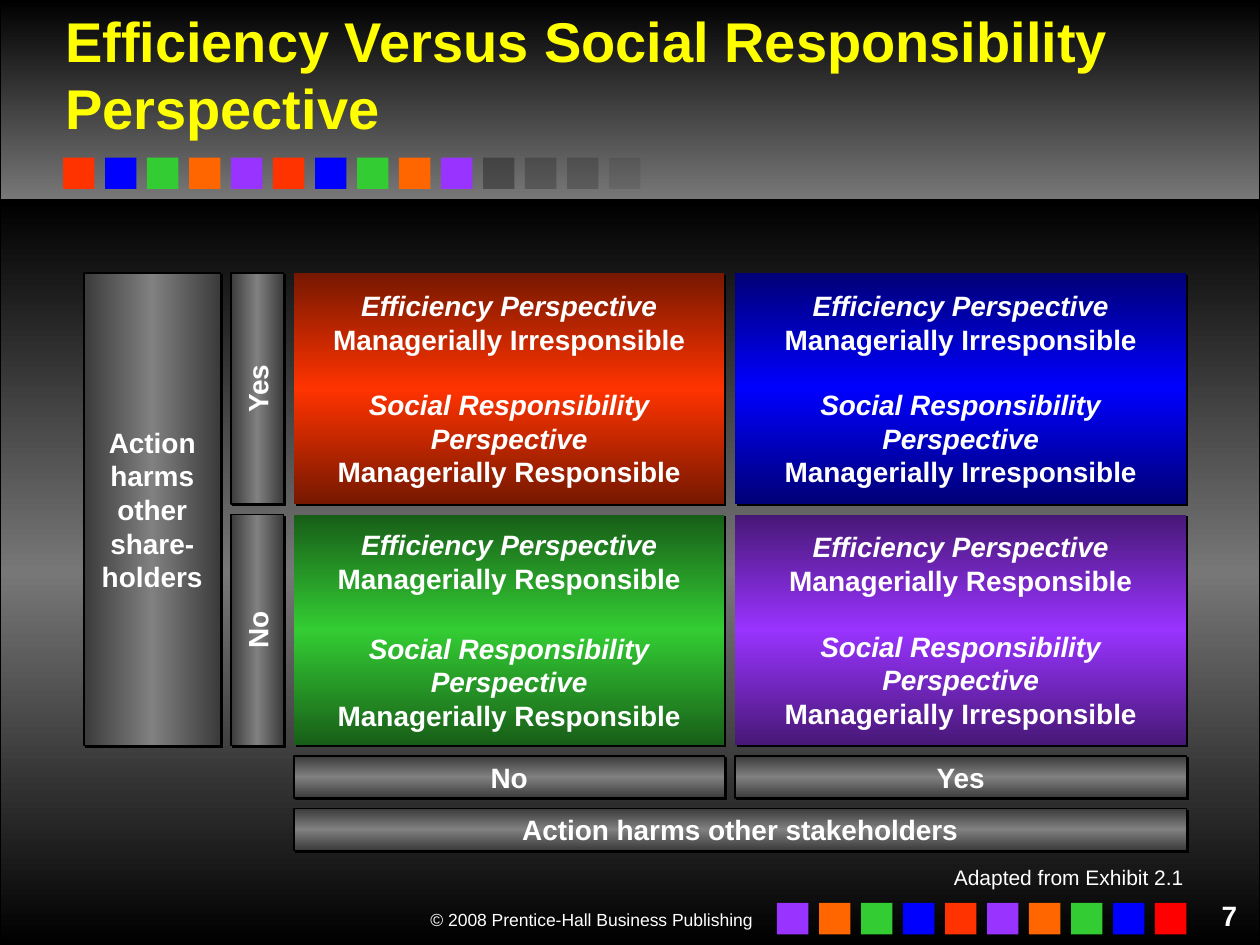
from lxml.etree import SubElement
from pptx import Presentation
from pptx.dml.color import RGBColor
from pptx.enum.shapes import MSO_SHAPE
from pptx.enum.text import MSO_ANCHOR, MSO_AUTO_SIZE, PP_ALIGN
from pptx.oxml import parse_xml
from pptx.oxml.ns import nsdecls, qn
from pptx.util import Pt

COLORS = {
    "black": "000000", "white": "FFFFFF", "title": "FFFF00", "band": "777777",
    "label_edge": "3B3B3B", "label": "808080", "fade": "292929",
    "red": "FF3300", "red_edge": "761800", "blue": "0000FF", "blue_edge": "000076",
    "green": "33CC33", "green_edge": "185E18", "purple": "9933FF",
    "purple_edge": "471876", "orange": "FF6600", "bright_red": "FF0000",
}
GAP = 6
SQUARE, PITCH = 18, 24


def add_alpha(color_parent, percent):
    """Make the solid colour inside an element partly transparent."""
    color = next(color_parent.iter(qn("a:srgbClr")))
    SubElement(color, qn("a:alpha")).set("val", str(percent * 1000))


def add_gradient(shape, colors, angle):
    """Fill a shape with evenly spaced colours along a screen angle."""
    step = 100000 // (len(colors) - 1)
    stops = "".join(
        f'<a:gs pos="{i * step}"><a:srgbClr val="{COLORS[color]}"/></a:gs>'
        for i, color in enumerate(colors))
    shape.element.spPr.insert(2, parse_xml(
        f'<a:gradFill rotWithShape="0" {nsdecls("a")}><a:gsLst>{stops}</a:gsLst>'
        f'<a:lin ang="{angle * 60000}" scaled="1"/></a:gradFill>'))


def add_shadow(effects):
    """Put a hard black shadow into an effect list."""
    effects.append(parse_xml(
        f'<a:outerShdw dist="17961" dir="2700000" algn="ctr" rotWithShape="0" '
        f'{nsdecls("a")}><a:srgbClr val="{COLORS["black"]}"/></a:outerShdw>'))


def add_box(slide, box, fill, angle=90, outline=None, shadow=False):
    """Add a rectangle with a plain colour or a list of gradient colours."""
    shape = slide.shapes.add_shape(MSO_SHAPE.RECTANGLE, *map(Pt, box))
    if isinstance(fill, str):
        shape.fill.solid()
        shape.fill.fore_color.rgb = RGBColor.from_string(COLORS[fill])
    else:
        add_gradient(shape, fill, angle)
    if outline:
        shape.line.color.rgb = RGBColor.from_string(COLORS[outline])
        shape.line.width = Pt(0.75)
    else:
        shape.line.fill.background()
    shape.shadow.inherit = False
    if shadow:
        add_shadow(shape.element.spPr.find(qn("a:effectLst")))
    return shape


def write(paragraph, text, size=16, color="white", bold=True, italic=False,
          align=PP_ALIGN.CENTER, before=0):
    """Write one formatted paragraph and return its run."""
    paragraph.alignment = align
    paragraph.space_before = Pt(before)
    run = paragraph.add_run()
    run.text = text
    run.font.name = "Arial"
    run.font.size = Pt(size)
    run.font.bold = bold
    run.font.italic = italic
    run.font.color.rgb = RGBColor.from_string(COLORS[color])
    return run


def frame_text(shape, wrap):
    """Centre a shape's text vertically and return its frame."""
    frame = shape.text_frame
    frame.word_wrap = wrap
    frame.vertical_anchor = MSO_ANCHOR.MIDDLE
    frame.margin_left = frame.margin_right = Pt(7.2)
    frame.margin_top = frame.margin_bottom = 0
    return frame


def add_title(slide, box, text):
    """Place the title placeholder in front of the backdrop."""
    title = slide.shapes.title
    title.left, title.top, title.width, title.height = map(Pt, box)
    slide.shapes.element.append(title.element)
    frame = title.text_frame
    frame.word_wrap = True
    frame.auto_size = MSO_AUTO_SIZE.NONE
    frame.vertical_anchor = MSO_ANCHOR.MIDDLE
    run = write(frame.paragraphs[0], text, size=32, color="title", align=PP_ALIGN.LEFT)
    effects = parse_xml(f'<a:effectLst {nsdecls("a")}/>')
    add_shadow(effects)
    run.font.fill
    run.font._element.find(qn("a:solidFill")).addnext(effects)


def add_note(slide, box, text, **text_format):
    """Add a right-aligned line of text."""
    frame = slide.shapes.add_textbox(*map(Pt, box)).text_frame
    frame.word_wrap = True
    write(frame.paragraphs[0], text, align=PP_ALIGN.RIGHT, **text_format)
    return frame.paragraphs[0]


def add_squares(slide, left, top, colors):
    """Add a row of equally spaced colour squares."""
    for i, color in enumerate(colors):
        add_box(slide, (left + i * PITCH, top, SQUARE, SQUARE), color)


def add_backdrop(slide, width, height, split):
    """Add the shaded bands and the decorative squares."""
    add_box(slide, (0, 0, width, split), ["black", "band"], outline="black")
    add_box(slide, (0, split, width, height - split), ["black", "band", "black"],
            outline="black")
    add_squares(slide, 36, 90, ["red", "blue", "green", "orange", "purple"] * 2)
    for i, opacity in enumerate((50, 35, 30, 15), start=10):
        square = add_box(slide, (36 + i * PITCH, 90, SQUARE, SQUARE), "fade")
        add_alpha(square.element.spPr, opacity)
    add_squares(slide, 444, 516, ["purple", "orange", "green", "blue", "red", "purple",
                                  "orange", "green", "blue", "bright_red"])


def add_quadrant(slide, box, color, efficiency, social, gap):
    """Add one matrix cell with its two verdicts."""
    edge = f"{color}_edge"
    cell = add_box(slide, box, [edge, color, edge], shadow=True)
    frame = frame_text(cell, wrap=False)
    lines = [("Efficiency Perspective", True, 0), (f"Managerially {efficiency}", False, 0),
             ("Social Responsibility", True, gap), ("Perspective", True, 0),
             (f"Managerially {social}", False, 0)]
    for i, (text, italic, before) in enumerate(lines):
        paragraph = frame.add_paragraph() if i else frame.paragraphs[0]
        write(paragraph, text, italic=italic, before=before)


def add_label(slide, box, text, angle=90, turned=False, wrap=False):
    """Add a grey axis label, turned to read upwards if asked."""
    left, top, width, height = box
    if turned:
        box = (left + (width - height) / 2, top + (height - width) / 2, height, width)
    label = add_box(slide, box, ["label_edge", "label", "label_edge"], angle,
                    outline="black", shadow=True)
    if turned:
        label.rotation = 270
    write(frame_text(label, wrap).paragraphs[0], text)


def add_matrix(slide, left, top, width, height):
    """Add the two-by-two matrix with its axis labels."""
    side, answer, bar, first_column = 78, 30, 24, 246
    grid_left = left + side + answer + 2 * GAP
    second_left = grid_left + first_column + GAP
    columns = [(grid_left, first_column), (second_left, left + width - second_left)]
    grid_height = height - 2 * (bar + GAP)
    row_height = (grid_height - GAP) / 2
    rows = [top, top + row_height + GAP]
    quadrants = [("red", "Irresponsible", "Responsible", 18.4),
                 ("blue", "Irresponsible", "Irresponsible", 18.4),
                 ("green", "Responsible", "Responsible", 20.7),
                 ("purple", "Responsible", "Irresponsible", 18.4)]
    for i, quadrant in enumerate(quadrants):
        x, column_width = columns[i % 2]
        add_quadrant(slide, (x, rows[i // 2], column_width, row_height), *quadrant)
    answers_top = top + grid_height + GAP
    add_label(slide, (grid_left, answers_top + bar + GAP, left + width - grid_left, bar),
              "Action harms other stakeholders")
    for (x, column_width), text in zip(columns, ("No", "Yes")):
        add_label(slide, (x, answers_top, column_width, bar), text)
    for y, text in zip(rows, ("Yes", "No")):
        add_label(slide, (left + side + GAP, y, answer, row_height), text,
                  angle=180, turned=True)
    add_label(slide, (left, top, side, grid_height), "Action harms other share-holders",
              angle=0, wrap=True)


def main():
    """Build the slide and save it."""
    presentation = Presentation()
    presentation.slide_width, presentation.slide_height = Pt(720), Pt(540)
    slide = presentation.slides.add_slide(presentation.slide_layouts[5])
    add_backdrop(slide, 720, 540, 114)
    add_note(slide, (210, 516, 227, 19.5), "© 2008 Prentice-Hall Business Publishing",
             size=10, bold=False)
    add_note(slide, (678, 510, 36, 12), "7")
    add_title(slide, (30, 0, 642, 84), "Efficiency Versus Social Responsibility Perspective")
    add_matrix(slide, 48, 156, 630, 330)
    source = add_note(slide, (510, 492, 173.5, 20), "Adapted from Exhibit 2.1",
                      size=12, bold=False)
    source.line_spacing = 0.9
    presentation.save("out.pptx")


if __name__ == "__main__":
    main()
